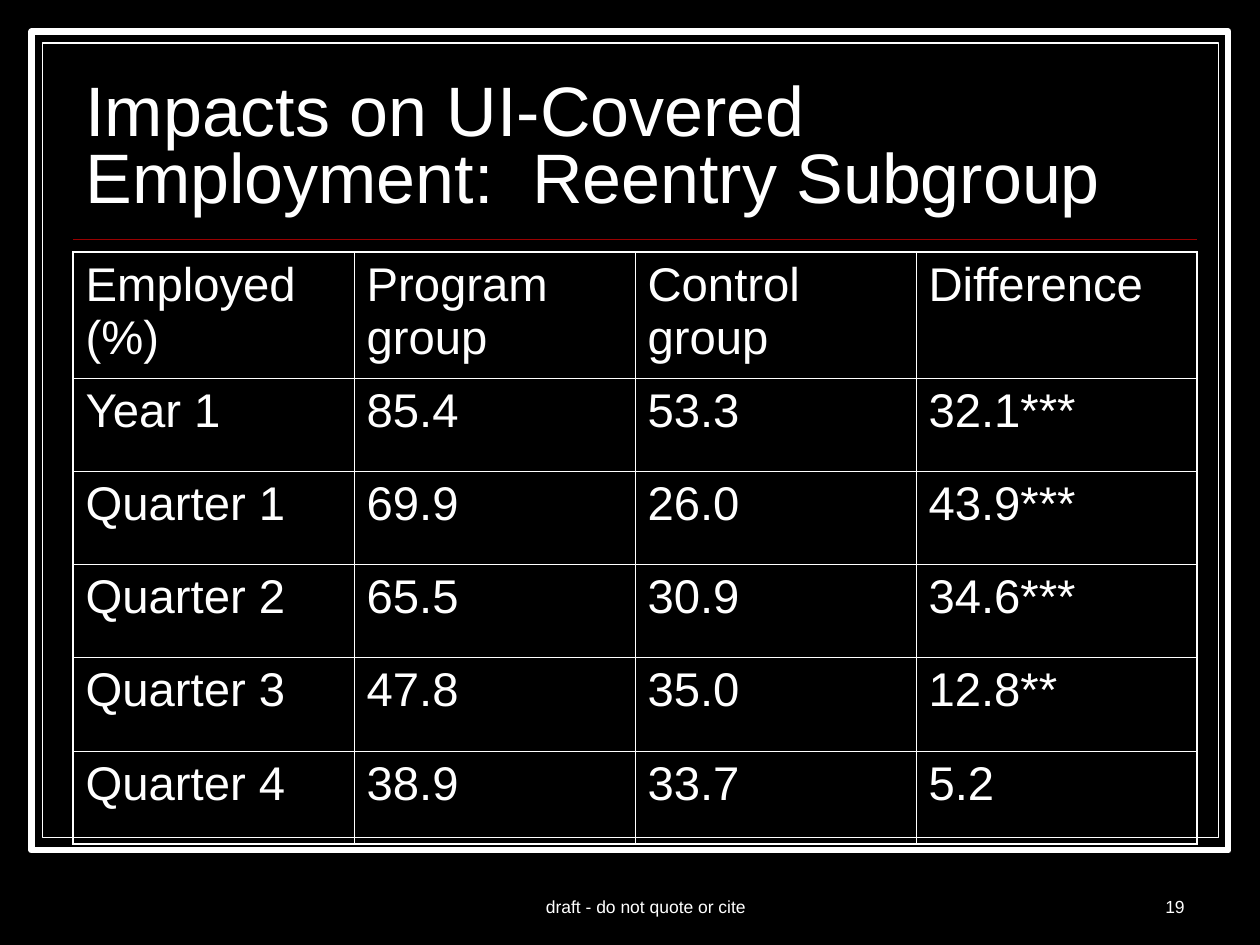
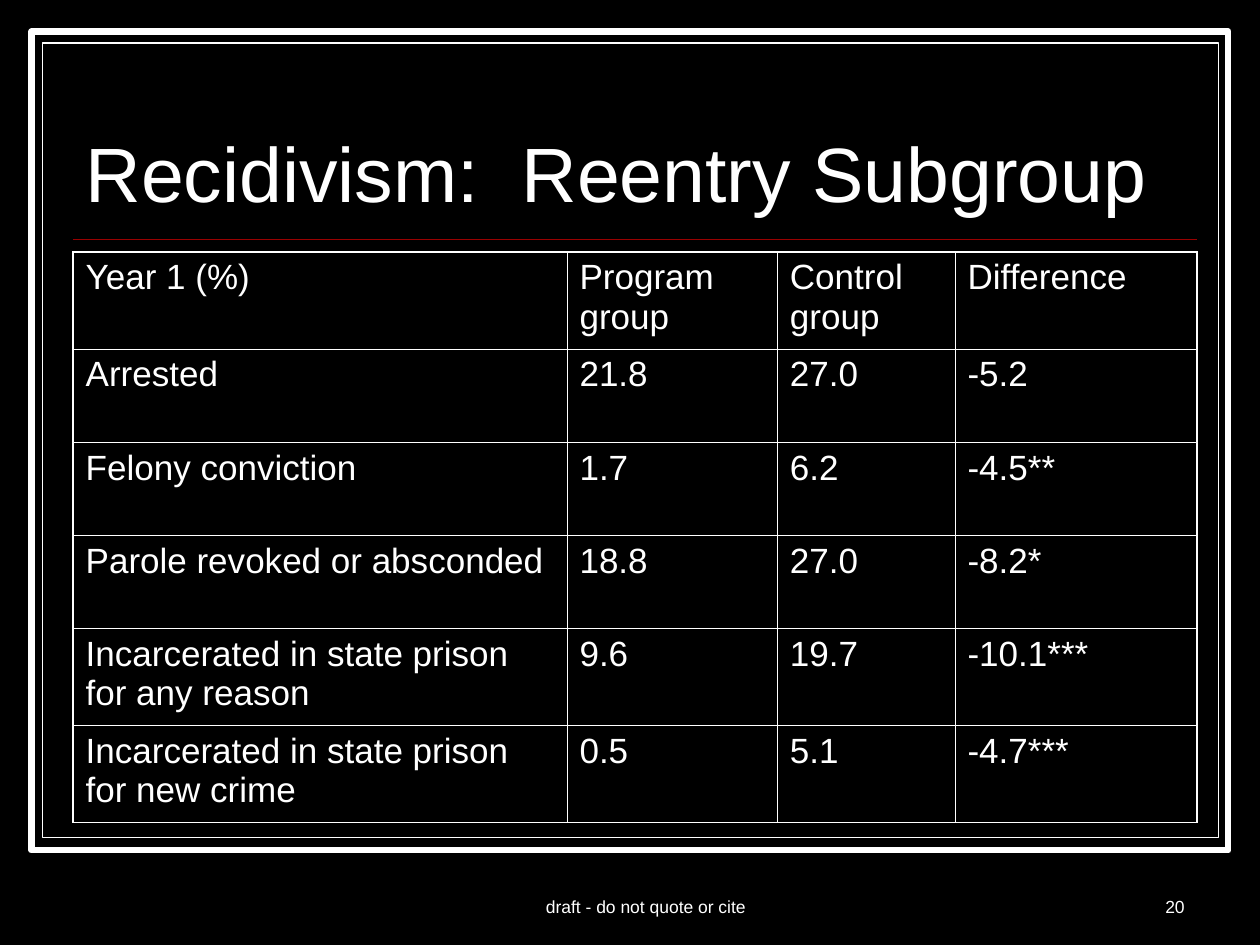
from lxml import etree
from pptx import Presentation
from pptx import util as u
from pptx.dml.color import RGBColor
from pptx.enum import shapes, text
from pptx.oxml import ns

# Shared style
BLACK, WHITE, RED = "000000", "FFFFFF", "990000"
FONT = "Arial"
LEFT, WIDTH = 0.58, 8.92
TITLE_BOX = (LEFT, 0.52, WIDTH, 1.25)
RULE_Y, TABLE_Y = 1.9, 2
FOOTER_BOX = (3.54, 6.83, 3.17, 0.5)
NUMBER_BOX = (7.42, 6.83, 2.08, 0.5)
FOOTER = "draft - do not quote or cite"
FRAMES = [((0.25, 0.25, 9.5, 6.5), 3.5), ((0.34, 0.34, 9.33, 6.31), 0.75)]
OUTER_EDGE, INNER_EDGE = 1.08, 0.45

# Slide content
EMPLOYMENT = [
    ["Employed (%)", "Program group", "Control group", "Difference"],
    ["Year 1", "85.4", "53.3", "32.1***"],
    ["Quarter 1", "69.9", "26.0", "43.9***"],
    ["Quarter 2", "65.5", "30.9", "34.6***"],
    ["Quarter 3", "47.8", "35.0", "12.8**"],
    ["Quarter 4", "38.9", "33.7", "5.2"],
]
RECIDIVISM = [
    ["Year 1 (%)", "Program group", "Control group", "Difference"],
    ["Arrested", "21.8", "27.0", "-5.2"],
    ["Felony conviction", "1.7", "6.2", "-4.5**"],
    ["Parole revoked or absconded", "18.8", "27.0", "-8.2*"],
    ["Incarcerated in state prison for any reason", "9.6", "19.7", "-10.1***"],
    ["Incarcerated in state prison for new crime", "0.5", "5.1", "-4.7***"],
]


def color(hex_value):
    return RGBColor.from_string(hex_value)


def inches(values):
    return [u.Inches(value) for value in values]


def apply(target, formats):
    for name, value in formats.items():
        setattr(target, name, value)


def write(paragraph, words, size):
    paragraph.text = words
    apply(paragraph.font, {"name": FONT, "size": u.Pt(size), "bold": False})
    paragraph.font.color.rgb = color(WHITE)


def add_label(slide, box, words, size, **paragraph_format):
    frame = slide.shapes.add_textbox(*inches(box)).text_frame
    apply(frame, {"word_wrap": True,
                  "vertical_anchor": text.MSO_ANCHOR.BOTTOM})
    write(frame.paragraphs[0], words, size)
    apply(frame.paragraphs[0], paragraph_format)


def add_frame(slide, box, weight):
    frame = slide.shapes.add_shape(shapes.MSO_SHAPE.RECTANGLE, *inches(box))
    frame.shadow.inherit = False
    frame.fill.solid()
    frame.fill.fore_color.rgb = color(BLACK)
    frame.line.color.rgb = color(WHITE)
    frame.line.width = u.Pt(weight)


def add_rule(slide):
    ends = inches((LEFT, RULE_Y, LEFT + WIDTH, RULE_Y))
    rule = slide.shapes.add_connector(shapes.MSO_CONNECTOR.STRAIGHT, *ends)
    rule.line.color.rgb = color(RED)
    rule.line.width = u.Pt(1)
    etree.SubElement(rule._element.spPr, ns.qn("a:effectLst"))


def set_border(cell, side, weight):
    properties = cell._tc.get_or_add_tcPr()
    edge = etree.SubElement(properties, ns.qn("a:ln" + side),
                            w=str(u.Pt(weight)))
    fill = etree.SubElement(edge, ns.qn("a:solidFill"))
    etree.SubElement(fill, ns.qn("a:srgbClr"), val=WHITE)


def add_results(slide, rows, widths, heights, size):
    shape = slide.shapes.add_table(
        len(rows), len(widths),
        *inches((LEFT, TABLE_Y, sum(widths), sum(heights))))
    table = shape.table
    apply(table, {"first_row": False, "horz_banding": False})
    for column, width in zip(table.columns, widths):
        column.width = u.Inches(width)
    last_row, last_column = len(rows) - 1, len(widths) - 1
    for r, (row, height) in enumerate(zip(rows, heights)):
        table.rows[r].height = u.Inches(height)
        for c, words in enumerate(row):
            cell = table.cell(r, c)
            write(cell.text_frame.paragraphs[0], words, size)
            outside = {"L": c == 0, "R": c == last_column,
                       "T": r == 0, "B": r == last_row}
            for side, is_outer in outside.items():
                set_border(cell, side, OUTER_EDGE if is_outer else INNER_EDGE)
            cell.fill.background()


def add_results_slide(deck, number, title, title_size, **results):
    slide = deck.slides.add_slide(deck.slide_layouts[6])
    slide.background.fill.solid()
    slide.background.fill.fore_color.rgb = color(BLACK)
    for box, weight in FRAMES:
        add_frame(slide, box, weight)
    add_rule(slide)
    add_label(slide, TITLE_BOX, title, title_size, line_spacing=0.8)
    add_results(slide, **results)
    add_label(slide, FOOTER_BOX, FOOTER, 10, alignment=text.PP_ALIGN.CENTER)
    add_label(slide, NUMBER_BOX, str(number), 10,
              alignment=text.PP_ALIGN.RIGHT)


def main():
    deck = Presentation()
    apply(deck, {"slide_width": u.Inches(10), "slide_height": u.Inches(7.5)})

    # Employment impacts
    add_results_slide(
        deck, 19, "Impacts on UI-Covered Employment:  Reentry Subgroup", 40,
        rows=EMPLOYMENT, widths=[WIDTH / 4] * 4,
        heights=[1] + [0.74] * 5, size=27)

    # Recidivism impacts
    add_results_slide(
        deck, 20, "Recidivism:  Reentry Subgroup", 44,
        rows=RECIDIVISM, widths=[3.92, 1.67, 1.41, 1.92],
        heights=[0.77] + [0.74] * 3 + [0.77] * 2, size=20)

    deck.save("out.pptx")


if __name__ == "__main__":
    main()
